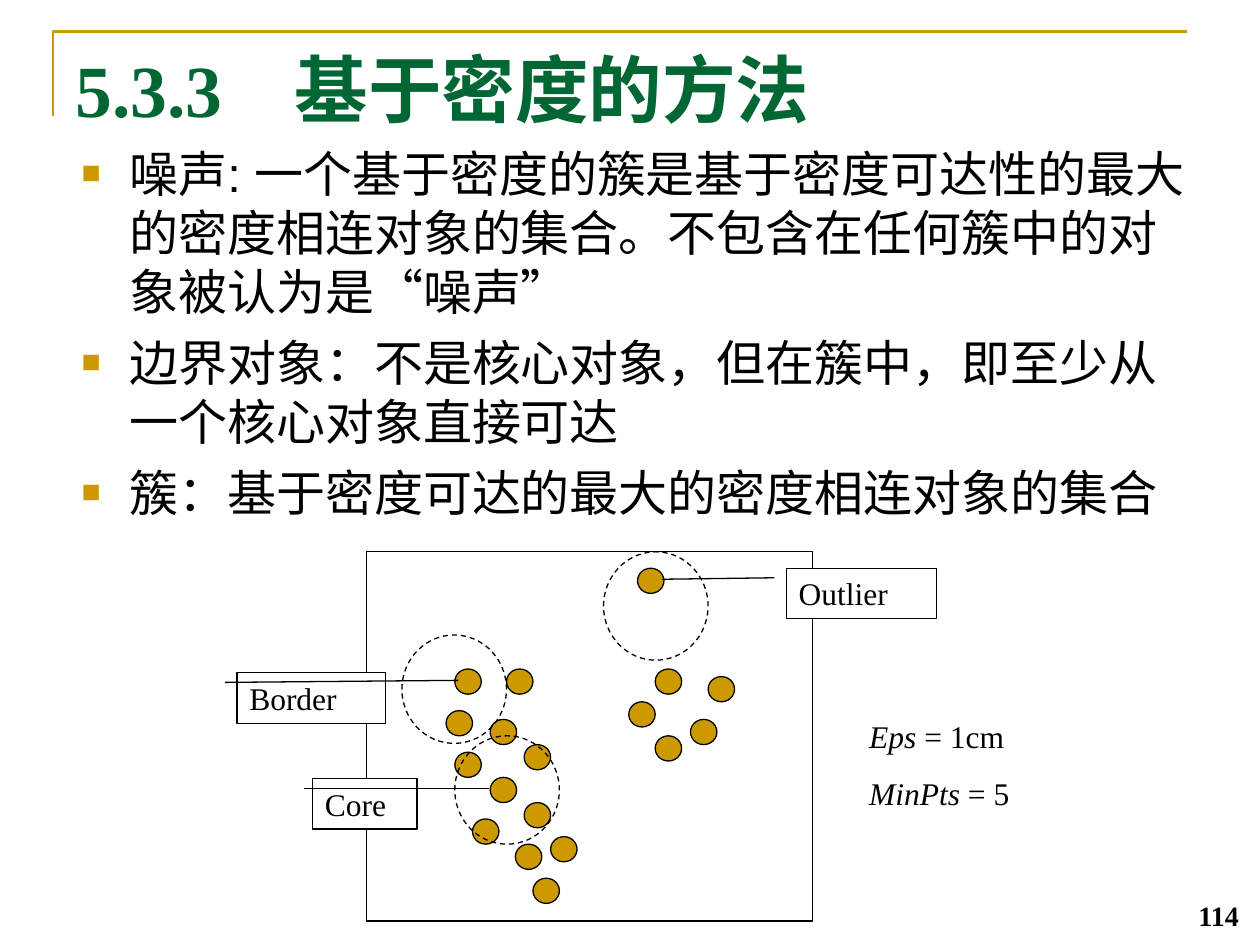
from lxml.etree import SubElement
from pptx import Presentation
from pptx.dml.color import RGBColor
from pptx.enum.dml import MSO_LINE
from pptx.enum.shapes import MSO_SHAPE
from pptx.enum.text import MSO_ANCHOR, PP_ALIGN
from pptx.oxml.ns import qn
from pptx.util import Emu, Inches, Pt

GOLD = RGBColor(0xCC, 0x99, 0x00)
GREEN = RGBColor(0x00, 0x66, 0x33)
BLACK = RGBColor(0, 0, 0)
WHITE = RGBColor(255, 255, 255)
SERIF, SANS, CJK = "Times New Roman", "Arial", "Noto Sans CJK SC"

TITLE = ("5.3.3\t", "基于密度的方法")
DEFINITIONS = [
    "噪声: 一个基于密度的簇是基于密度可达性的最大的密度相连对象的集合。不包含在任何簇中的对象被认为是“噪声”",
    "边界对象：不是核心对象，但在簇中，即至少从一个核心对象直接可达",
    "簇：基于密度可达的最大的密度相连对象的集合",
]
PARAMETERS = [("Eps", " = 1cm"), ("MinPts", " = 5")]
PAGE = "114"

FRAME = (2.91, 4.38, 3.54, 2.93)
POINT_SIZE = (0.21, 0.2)
POINTS = [
    (3.61, 5.31), (3.54, 5.64), (3.89, 5.71), (4.02, 5.31), (4.16, 5.91), (3.61, 5.97),
    (3.89, 6.17), (3.75, 6.5), (4.09, 6.7), (4.23, 6.97), (4.16, 6.37), (4.37, 6.64),
    (5.06, 4.51), (5.2, 5.31), (4.99, 5.57), (5.48, 5.71), (5.62, 5.37), (5.2, 5.84),
]
NEIGHBOURHOOD_SIZE = (0.83, 0.86)
NEIGHBOURHOODS = [(3.19, 5.04), (3.61, 5.84), (4.79, 4.38)]
CALLOUTS = [
    ("Core", (2.48, 6.18, 0.83, 0.4), (0.19, 1.69)),
    ("Border", (1.88, 5.34, 1.18, 0.4), (0.15, 1.49)),
    ("Outlier", (6.24, 4.51, 1.19, 0.4), (0.22, -0.83)),
]

prs = Presentation()
prs.slide_width, prs.slide_height = Inches(10), Inches(7.5)
slide = prs.slides.add_slide(prs.slide_layouts[6])


def add_run(paragraph, text, font, size, color=BLACK, **styles):
    run = paragraph.add_run()
    run.text = text
    run.font.color.rgb = color
    for name, value in {"name": font, "size": Pt(size), **styles}.items():
        setattr(run.font, name, value)
    SubElement(run._r.get_or_add_rPr(), qn("a:ea")).set("typeface", CJK)


def add_text(box):
    frame = slide.shapes.add_textbox(*map(Inches, box)).text_frame
    frame.word_wrap = True
    return frame


def paragraphs(frame, items):
    for index, item in enumerate(items):
        yield (frame.add_paragraph() if index else frame.paragraphs[0]), item, index


def add_outlined(kind, box, fill=None, dash=None):
    shape = slide.shapes.add_shape(kind, *map(Inches, box))
    shape.shadow.inherit = False
    if fill is None:
        shape.fill.background()
    else:
        shape.fill.solid()
        shape.fill.fore_color.rgb = fill
    shape.line.color.rgb = BLACK
    shape.line.width = Pt(0.75)
    if dash:
        shape.line.dash_style = dash
    return shape


def add_bullet(paragraph):
    properties = paragraph._p.get_or_add_pPr()
    properties.set("marL", str(Inches(0.38)))
    properties.set("indent", str(-Inches(0.38)))
    color = SubElement(properties, qn("a:buClr"))
    SubElement(color, qn("a:srgbClr")).set("val", str(GOLD))
    SubElement(properties, qn("a:buSzPct")).set("val", "65000")
    SubElement(properties, qn("a:buFont")).set("typeface", SANS)
    SubElement(properties, qn("a:buChar")).set("char", "■")


corner_path = slide.shapes.build_freeform(Inches(0.42), Inches(0.92), scale=1.0)
corner_path.add_line_segments([(Inches(0.42), Inches(0.25)), (Inches(9.42), Inches(0.25))], close=False)
corner = corner_path.convert_to_shape(Emu(0), Emu(0))
corner.shadow.inherit = False
corner.fill.background()
corner.line.color.rgb = GOLD
corner.line.width = Pt(1.5)

heading = add_text((0.5, 0.3, 9, 0.93)).paragraphs[0]
tabs = SubElement(heading._p.get_or_add_pPr(), qn("a:tabLst"))
tab = SubElement(tabs, qn("a:tab"))
tab.set("pos", str(Inches(1.74)))
tab.set("algn", "l")
for text, font in zip(TITLE, (SERIF, CJK)):
    add_run(heading, text, font, 42, GREEN, bold=True)

for paragraph, text, index in paragraphs(add_text((0.55, 1.09, 9, 3.36)), DEFINITIONS):
    add_bullet(paragraph)
    if index:
        paragraph.space_before = Pt(7)
    add_run(paragraph, text, SANS, 28)

page_frame = add_text((7.6, 6.95, 2.33, 0.5))
page_frame.vertical_anchor = MSO_ANCHOR.BOTTOM
page_frame.paragraphs[0].alignment = PP_ALIGN.RIGHT
add_run(page_frame.paragraphs[0], PAGE, SERIF, 16, bold=True)

for corner_at in POINTS:
    add_outlined(MSO_SHAPE.OVAL, corner_at + POINT_SIZE, GOLD)
add_outlined(MSO_SHAPE.RECTANGLE, FRAME)
for corner_at in NEIGHBOURHOODS:
    add_outlined(MSO_SHAPE.OVAL, corner_at + NEIGHBOURHOOD_SIZE, dash=MSO_LINE.DASH)

for label, box, (tip_y, tip_x) in CALLOUTS:
    callout = add_outlined(MSO_SHAPE.LINE_CALLOUT_1, box, WHITE)
    for index, value in enumerate((0.19, -0.08, tip_y, tip_x)):
        callout.adjustments[index] = value
    callout.text_frame.vertical_anchor = MSO_ANCHOR.TOP
    callout.text_frame.paragraphs[0].alignment = PP_ALIGN.LEFT
    add_run(callout.text_frame.paragraphs[0], label, SERIF, 18)

for paragraph, (symbol, value), index in paragraphs(add_text((6.8, 5.64, 1.73, 0.86)), PARAMETERS):
    if index:
        paragraph.space_before = Pt(11.2)
    add_run(paragraph, symbol, SERIF, 18, italic=True)
    add_run(paragraph, value, SERIF, 18, italic=False)

prs.save("out.pptx")
